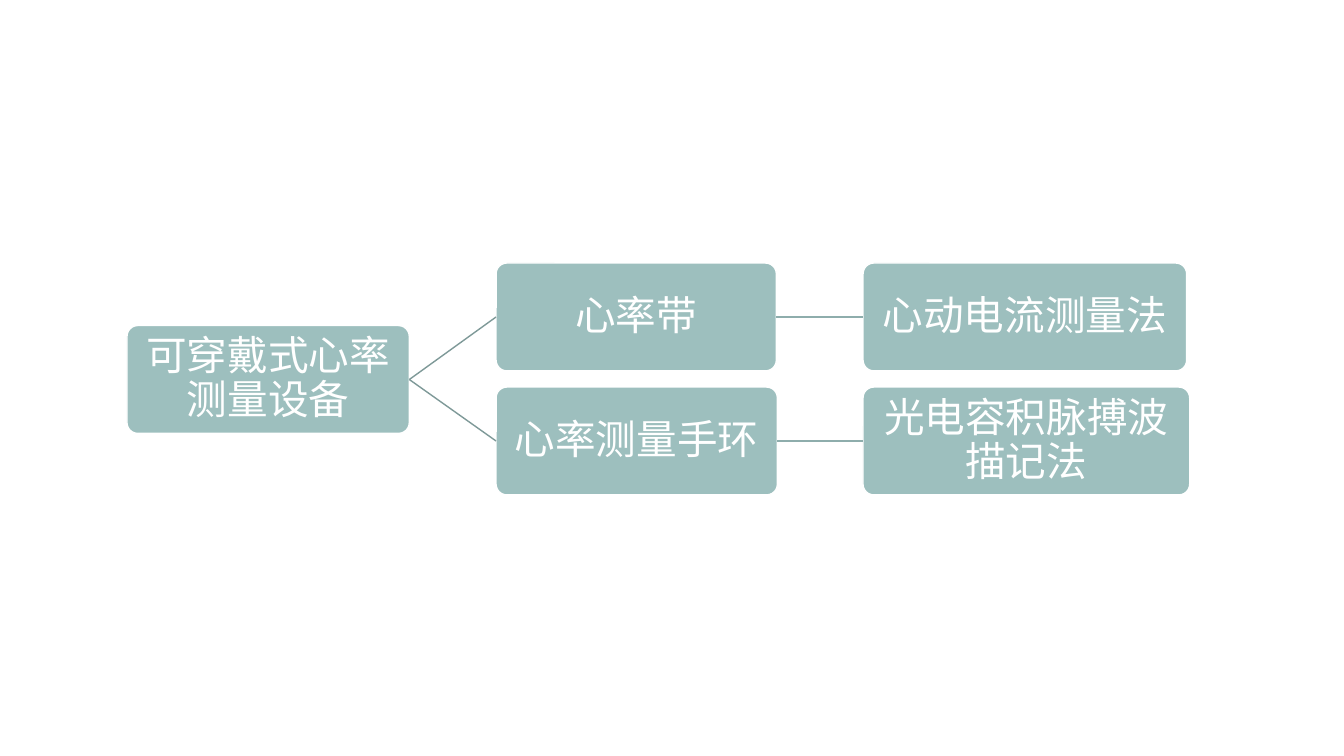
from lxml.etree import SubElement
from pptx import Presentation
from pptx.dml.color import RGBColor
from pptx.enum.shapes import MSO_CONNECTOR, MSO_SHAPE
from pptx.enum.text import MSO_ANCHOR, PP_ALIGN
from pptx.oxml.ns import qn
from pptx.util import Emu, Pt

EMU_PER_PX = 9144  # 100 px to the inch
BOX_HEIGHT = 107
INSET = 5
LEFT_SITE, RIGHT_SITE = 1, 3

ROOT = ("可穿戴式心率测量设备", 126, 323, 280)
DEVICE_LEFT, METHOD_LEFT = 492, 856
ROW_TOP, ROW_STEP = 261, 123
# device, its width, method, its width
ROWS = [
    ("心率带", 278, "心动电流测量法", 321),
    ("心率测量手环", 279, "光电容积脉搏波描记法", 324),
]


def px(length):
    return Emu(length * EMU_PER_PX)


def color(value):
    return RGBColor.from_string(value)


def write(frame, text, size=29, font="Arial", fill="FFFFFF"):
    frame.word_wrap = True
    frame.vertical_anchor = MSO_ANCHOR.MIDDLE
    frame.margin_left = frame.margin_right = px(INSET)
    frame.margin_top = frame.margin_bottom = px(INSET)
    para = frame.paragraphs[0]
    para.alignment = PP_ALIGN.CENTER
    para.line_spacing = 0.9
    span = para.add_run()
    span.text = text
    span.font.size = Pt(size)
    span.font.name = font
    span.font.color.rgb = color(fill)


def add_node(page, text, left, top, width):
    box = page.shapes.add_shape(MSO_SHAPE.ROUNDED_RECTANGLE,
                                px(left), px(top), px(width), px(BOX_HEIGHT))
    box.adjustments[0] = 0.1
    box.shadow.inherit = False
    box.fill.solid()
    box.fill.fore_color.rgb = color("9DBFBE")
    box.line.color.rgb = color("FFFFFF")
    box.line.width = Pt(1)
    write(box.text_frame, text)
    return box


def add_link(page, parent, child, stroke):
    link = page.shapes.add_connector(MSO_CONNECTOR.STRAIGHT, 0, 0, 0, 0)
    link.begin_connect(parent, RIGHT_SITE)
    link.end_connect(child, LEFT_SITE)
    link.line.color.rgb = color(stroke)
    link.line.width = Pt(1)
    SubElement(link._element.spPr, qn("a:effectLst"))


def main():
    deck = Presentation()
    deck.slide_width, deck.slide_height = px(1333), px(750)
    page = deck.slides.add_slide(deck.slide_layouts[6])

    # Root of the tree
    root = add_node(page, *ROOT)

    # One branch per row: device, then measuring method
    for row, (device, device_width, method, method_width) in enumerate(ROWS):
        top = ROW_TOP + row * ROW_STEP
        device_box = add_node(page, device, DEVICE_LEFT, top, device_width)
        method_box = add_node(page, method, METHOD_LEFT, top, method_width)
        add_link(page, root, device_box, "7E9998")
        add_link(page, device_box, method_box, "8EADAC")

    deck.save("out.pptx")


if __name__ == "__main__":
    main()
